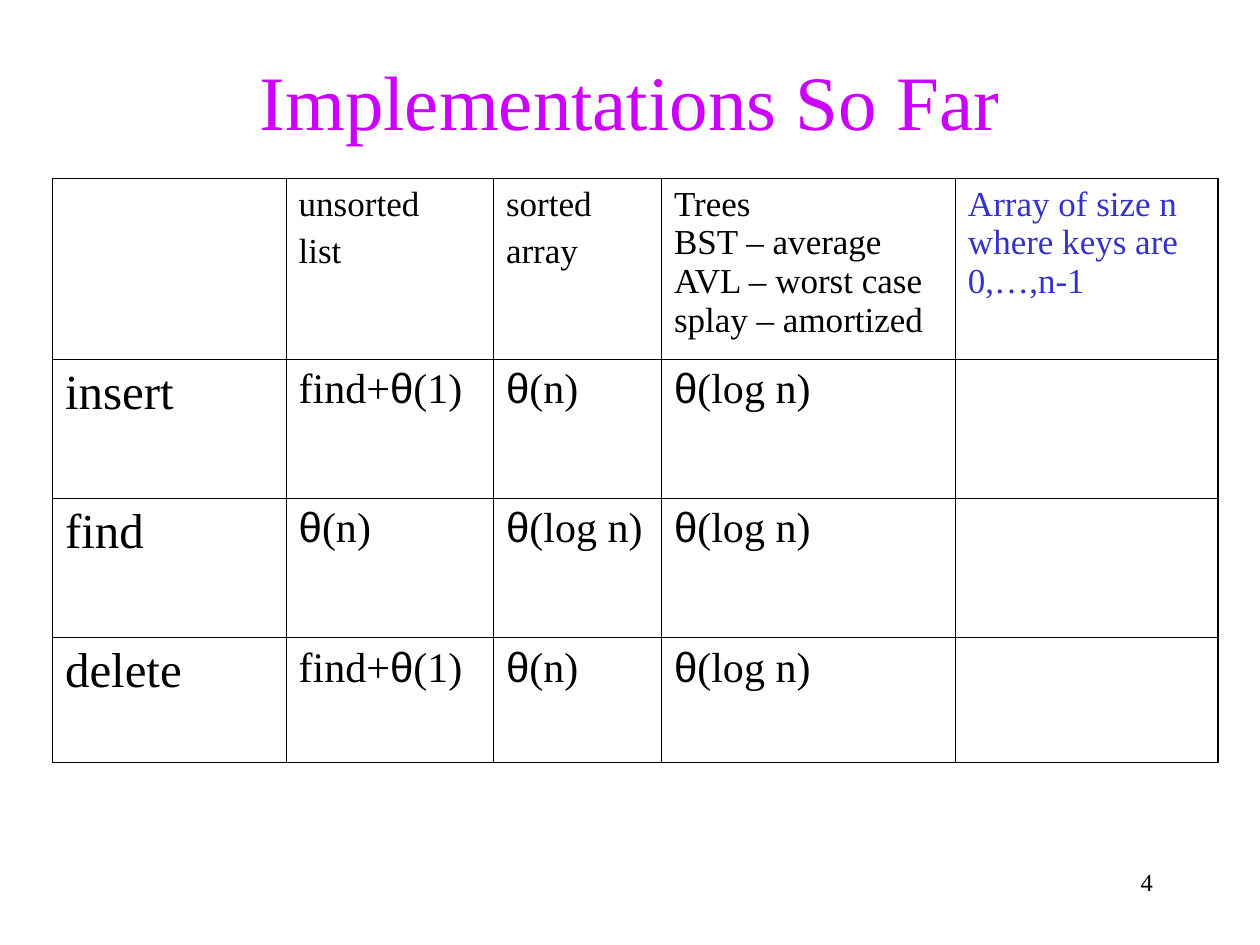
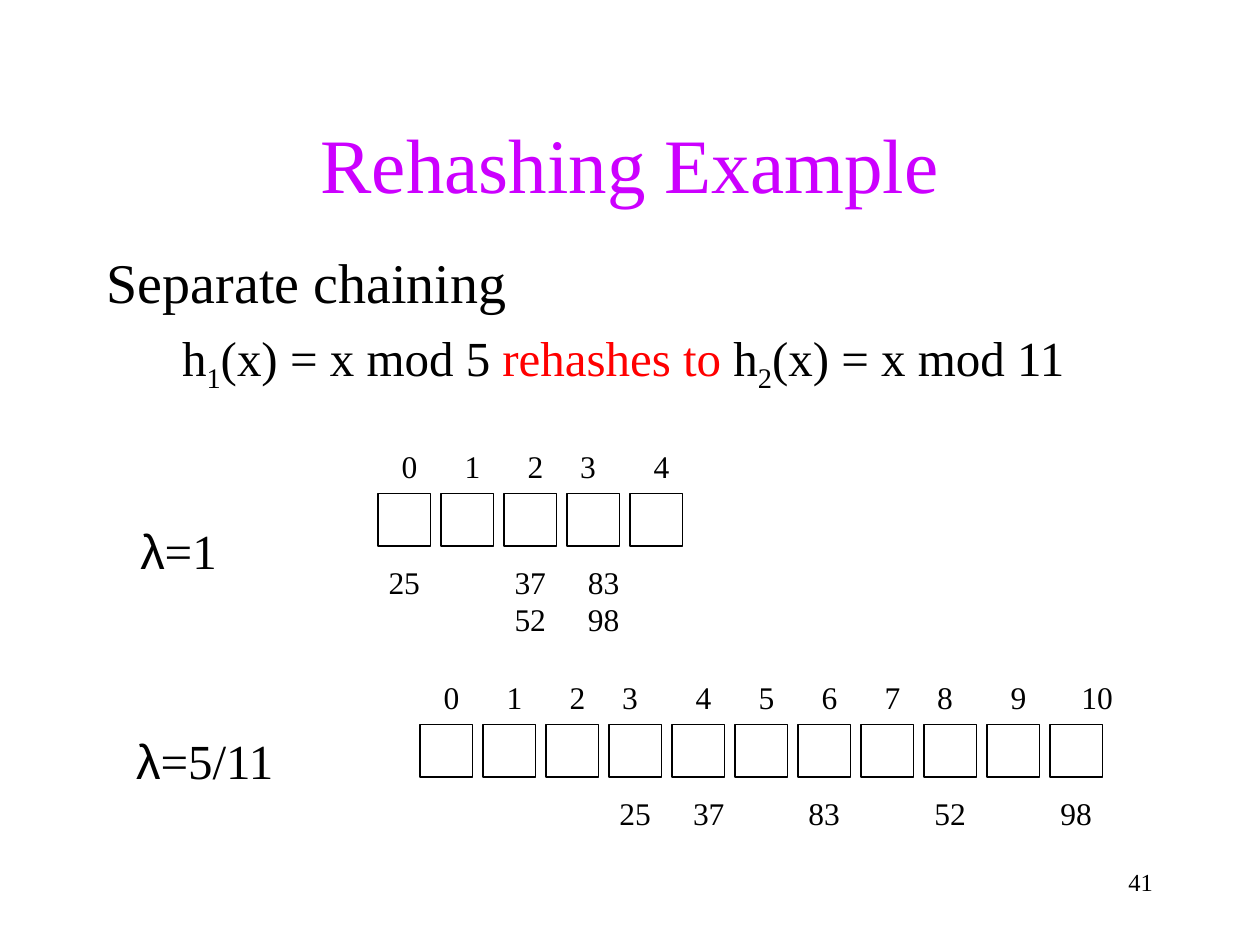
"""Build two slides on hash tables: a cost comparison and a rehashing example."""
from itertools import groupby

from lxml import etree
from pptx import Presentation
from pptx import util as u
from pptx.dml.color import RGBColor
from pptx.enum import shapes, text
from pptx.oxml import ns

PX = 9525
COLORS = {"title": "CC00FF", "ink": "000000", "note": "3333CC", "accent": "FF0000"}
FONT, GREEK_FONT = "Times New Roman", "Arial"
GREEK = "θλ"
ALIGN = {"left": text.PP_ALIGN.LEFT, "center": text.PP_ALIGN.CENTER, "right": text.PP_ALIGN.RIGHT}
THIN, THICK = 0.45, 1.08

COSTS = {
    "title": "Implementations So Far",
    "number": "4",
    "header": [
        [],
        ["unsorted", "list"],
        ["sorted", "array"],
        ["Trees\nBST – average\nAVL – worst case\nsplay – amortized"],
        ["Array of size n where keys are 0,…,n-1"],
    ],
    "rows": [
        ["insert", "find+θ(1)", "θ(n)", "θ(log n)", ""],
        ["find", "θ(n)", "θ(log n)", "θ(log n)", ""],
        ["delete", "find+θ(1)", "θ(n)", "θ(log n)", ""],
    ],
    "widths": [178, 158, 128, 224, 200],
    "heights": [138, 106, 106, 95],
}

REHASHING = {
    "title": "Rehashing Example",
    "number": "41",
    "heading": "Separate chaining",
    "formula": [
        (" h", {}), ("1", {"baseline": -25}), ("(x) = x mod 5 ", {}),
        ("rehashes to", {"color": "accent"}),
        (" h", {}), ("2", {"baseline": -25}), ("(x) = x mod 11", {}),
    ],
    "tables": [
        {"load": "λ=1", "load_box": (80, 392, 112, 55), "left": 288, "top": 376, "buckets": 5,
         "chains": {0: "25", 2: "37\n52", 3: "83\n98"},
         "label_shifts": {3: -8}, "chain_shifts": {3: 8}},
        {"load": "λ=5/11", "load_box": (88, 552, 136, 55), "left": 320, "top": 552, "buckets": 11,
         "chains": {3: "25", 4: "37", 6: "83", 8: "52", 10: "98"},
         "label_shifts": {3: -8, 8: -8}, "chain_shifts": {4: 8}},
    ],
}
BUCKET_SIZE, BUCKET_STEP = 40, 48


def px(*lengths):
    return [u.Emu(length * PX) for length in lengths]


def write(frame, content, size=18, color="ink", align="left", space=0, indent=None, level=0):
    paragraph = frame.paragraphs[0]
    if paragraph.runs:
        paragraph = frame.add_paragraph()
    paragraph.alignment = ALIGN[align]
    paragraph.space_before = u.Pt(space)
    paragraph.level = level
    if indent:
        margin, first = px(*indent)
        properties = paragraph._p.get_or_add_pPr()
        properties.set("marL", str(margin))
        properties.set("indent", str(first))
    pieces = [(content, {})] if isinstance(content, str) else content
    for piece, style in pieces:
        for number, line in enumerate(piece.split("\n")):
            if number:
                paragraph.add_line_break()
            for is_greek, letters in groupby(line, key=lambda letter: letter in GREEK):
                run = paragraph.add_run()
                run.text = "".join(letters)
                run.font.size = u.Pt(size)
                run.font.name = GREEK_FONT if is_greek else FONT
                run.font.color.rgb = RGBColor.from_string(COLORS[style.get("color", color)])
                if "baseline" in style:
                    run._r.get_or_add_rPr().set("baseline", str(style["baseline"] * 1000))


def add_frame(slide, box, grow=False, middle=False):
    frame = slide.shapes.add_textbox(*px(*box)).text_frame
    frame.word_wrap = True
    frame.auto_size = text.MSO_AUTO_SIZE.SHAPE_TO_FIT_TEXT if grow else text.MSO_AUTO_SIZE.NONE
    if middle:
        frame.vertical_anchor = text.MSO_ANCHOR.MIDDLE
    return frame


def add_label(slide, box, content, size=18, space=11.2):
    write(add_frame(slide, box, grow=True), content, size=size, align="center", space=space)


def add_slide(presentation, content, title_top):
    slide = presentation.slides.add_slide(presentation.slide_layouts[6])
    title = add_frame(slide, (72, title_top, 816, 120), middle=True)
    write(title, content["title"], size=44, color="title", align="center")
    write(add_frame(slide, (688, 656, 200, 48)), content["number"], size=14, align="right")
    return slide


def set_borders(cell, widths):
    properties = cell._tc.get_or_add_tcPr()
    for side, width in widths.items():
        line = etree.SubElement(properties, ns.qn(f"a:ln{side}"), w=str(u.Pt(width)))
        fill = etree.SubElement(line, ns.qn("a:solidFill"))
        etree.SubElement(fill, ns.qn("a:srgbClr"), val=COLORS["ink"])


def add_cost_table(slide, content):
    widths, heights = content["widths"], content["heights"]
    last_row, last_column = len(heights) - 1, len(widths) - 1
    box = px(40, 136, sum(widths), sum(heights))
    table = slide.shapes.add_table(len(heights), len(widths), *box).table
    table.first_row = table.horz_banding = False
    for column, width in zip(table.columns, px(*widths)):
        column.width = width
    for row, height in zip(table.rows, px(*heights)):
        row.height = height
    grid = [content["header"]] + [[[entry] for entry in row] for row in content["rows"]]
    for i, row in enumerate(grid):
        for j, lines in enumerate(row):
            cell = table.cell(i, j)
            outer = {"L": j == 0, "R": j == last_column, "T": i == 0, "B": i == last_row}
            set_borders(cell, {side: THICK if edge else THIN for side, edge in outer.items()})
            cell.fill.background()
            size, space = (20, 5) if i == 0 else (28, 7) if j == 0 else (24, 6)
            color = "note" if j == last_column else "ink"
            for line in lines:
                write(cell.text_frame, line, size=size, color=color, space=space)


def add_hash_table(slide, table):
    top = table["top"]
    add_label(slide, table["load_box"], table["load"], size=28, space=17.5)
    for index in range(table["buckets"]):
        left = table["left"] + index * BUCKET_STEP
        bucket = slide.shapes.add_shape(
            shapes.MSO_SHAPE.RECTANGLE, *px(left, top, BUCKET_SIZE, BUCKET_SIZE))
        bucket.shadow.inherit = False
        bucket.fill.background()
        bucket.line.color.rgb = RGBColor.from_string(COLORS["ink"])
        bucket.line.width = u.Pt(1)
        label_left = left + 8 + table["label_shifts"].get(index, 0)
        add_label(slide, (label_left, top - 40, 32 if index < 10 else 56, 38), str(index))
        if index in table["chains"]:
            chain = table["chains"][index]
            chain_left = left - 16 + table["chain_shifts"].get(index, 0)
            height = 67 if "\n" in chain else 38
            add_label(slide, (chain_left, top + 48, 72, height), chain)


def main():
    presentation = Presentation()
    presentation.slide_width, presentation.slide_height = px(960, 720)

    add_cost_table(add_slide(presentation, COSTS, title_top=16), COSTS)

    slide = add_slide(presentation, REHASHING, title_top=64)
    body = add_frame(slide, (72, 184, 816, 152))
    write(body, REHASHING["heading"], size=32, space=8, indent=(36, -36))
    write(body, REHASHING["formula"], size=28, space=7, indent=(78, -30), level=1)
    for table in REHASHING["tables"]:
        add_hash_table(slide, table)

    presentation.save("out.pptx")


if __name__ == "__main__":
    main()
